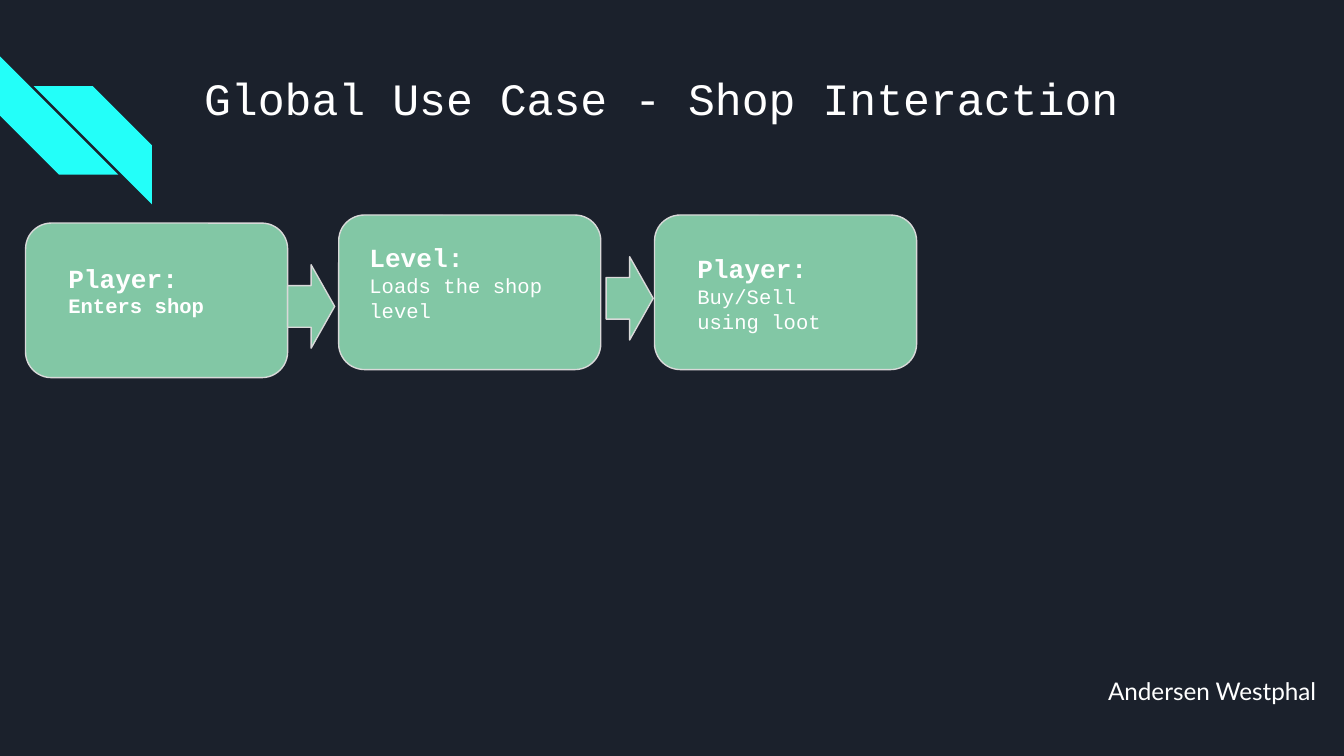
import pptx
import pptx.dml.color
import pptx.enum.shapes
import pptx.enum.text
import pptx.util

Inches = pptx.util.Inches
RGBColor = pptx.dml.color.RGBColor
SHAPE = pptx.enum.shapes.MSO_SHAPE
ALIGN = pptx.enum.text.PP_ALIGN

NAVY = RGBColor(0x1B, 0x21, 0x2C)
CYAN = RGBColor(0x23, 0xFF, 0xF9)
GREEN = RGBColor(0x82, 0xC7, 0xA5)
GREY = RGBColor(0xD9, 0xD9, 0xD9)
WHITE = RGBColor(0xFF, 0xFF, 0xFF)
MONO = "Courier New"


def add_form(slide, kind, box, fill, edge=None):
    form = slide.shapes.add_shape(kind, *map(Inches, box))
    form.shadow.inherit = False
    form.fill.solid()
    form.fill.fore_color.rgb = fill
    if edge is None:
        form.line.fill.background()
    else:
        form.line.color.rgb = edge
        form.line.width = pptx.util.Pt(0.75)
    return form


def add_text(slide, box, lines, font=MONO, align=ALIGN.LEFT):
    frame = slide.shapes.add_textbox(*map(Inches, box)).text_frame
    frame.word_wrap = True
    frame.margin_left = frame.margin_right = Inches(0.1)
    frame.margin_top = frame.margin_bottom = Inches(0.1)
    for index, (words, size, bold) in enumerate(lines):
        para = frame.add_paragraph() if index else frame.paragraphs[0]
        para.alignment = align
        run = para.add_run()
        run.text = words
        run.font.name = font
        run.font.size = pptx.util.Pt(size)
        run.font.bold = bold
        run.font.color.rgb = WHITE


def add_stripes(slide, left, top):
    size = 0.88
    for right, down, turn in ((0, 0, 270), (0.25, 0.22, 90)):
        box = (left + right, top + down, size, size)
        stripe = add_form(slide, SHAPE.DIAGONAL_STRIPE, box, CYAN)
        stripe.adjustments[0] = 0.5
        stripe.rotation = turn


def add_step(slide, left, top, inset, actor, action, bold=False):
    card = add_form(slide, SHAPE.ROUNDED_RECTANGLE,
                    (left, top, 1.95, 1.15), GREEN, GREY)
    card.adjustments[0] = 0.167
    right, down, width, height = inset
    add_text(slide, (left + right, top + down, width, height),
             [(actor, 14, True), (action, 11, bold)])


def add_flow(slide, left, top):
    add_step(slide, left, top + 0.06, (0.22, 0.19, 1.36, 0.66),
             "Player:", "Enters shop", True)
    add_step(slide, left + 4.68, top, (0.22, 0.18, 1.36, 0.85),
             "Player:", "Buy/Sell using loot")
    add_step(slide, left + 2.33, top, (0.13, 0.1, 1.67, 0.96),
             "Level:", "Loads the shop level")
    for right, down in ((1.95, 0.37), (4.32, 0.31)):
        add_form(slide, SHAPE.RIGHT_ARROW,
                 (left + right, top + down, 0.35, 0.62), GREEN, GREY)


def main():
    deck = pptx.Presentation()
    deck.slide_width = Inches(10)
    deck.slide_height = deck.slide_width * 9 // 16
    slide = deck.slides.add_slide(deck.slide_layouts[6])
    slide.background.fill.solid()
    slide.background.fill.fore_color.rgb = NAVY
    add_stripes(slide, 0, 0.42)
    add_text(slide, (1.42, 0.43, 7.7, 1),
             [("Global Use Case - Shop Interaction", 24, False)])
    add_flow(slide, 0.19, 1.6)
    add_text(slide, (7.91, 4.93, 1.98, 0.54),
             [("Andersen Westphal", 13, False)], "Lato", ALIGN.RIGHT)
    deck.save("out.pptx")


if __name__ == "__main__":
    main()
